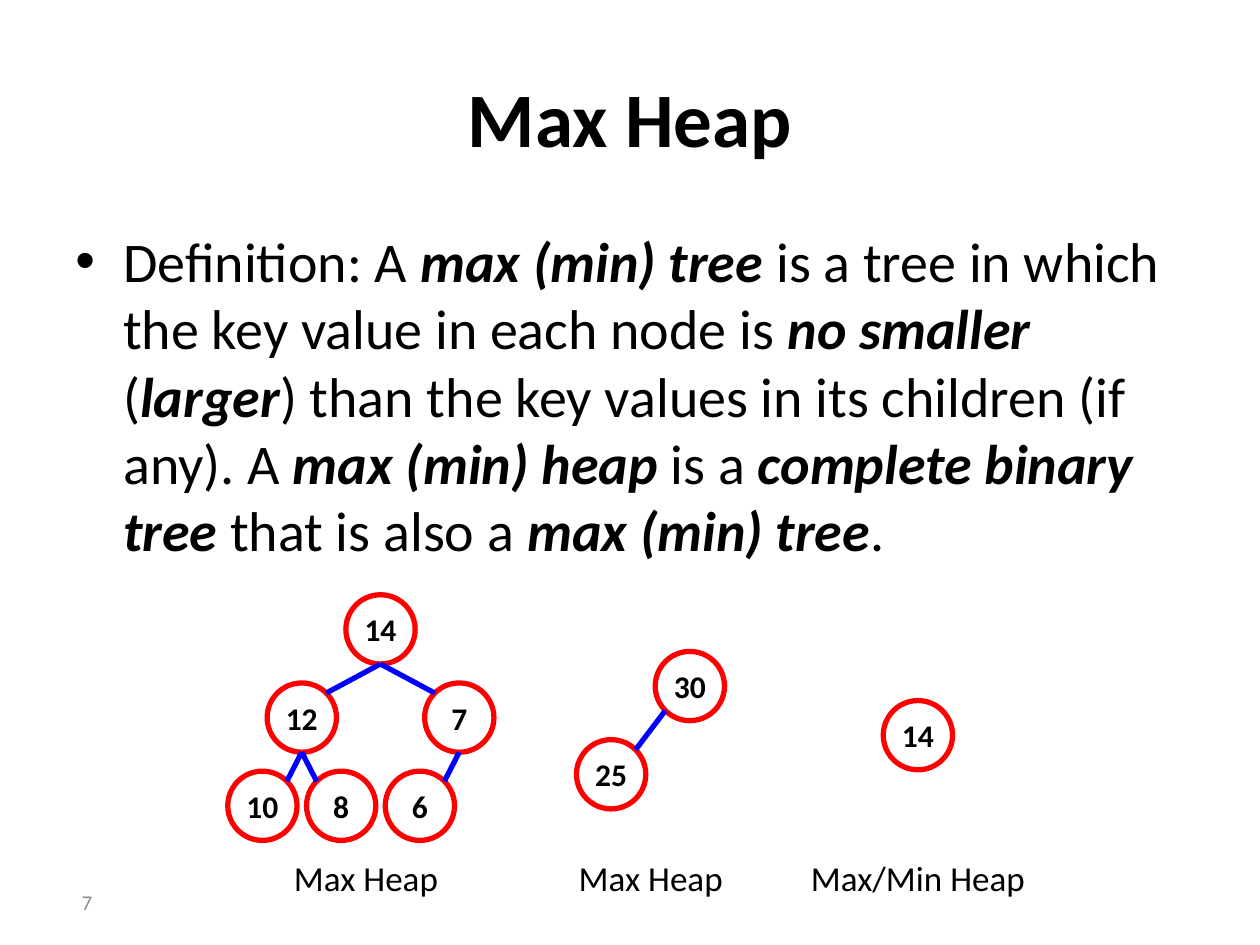
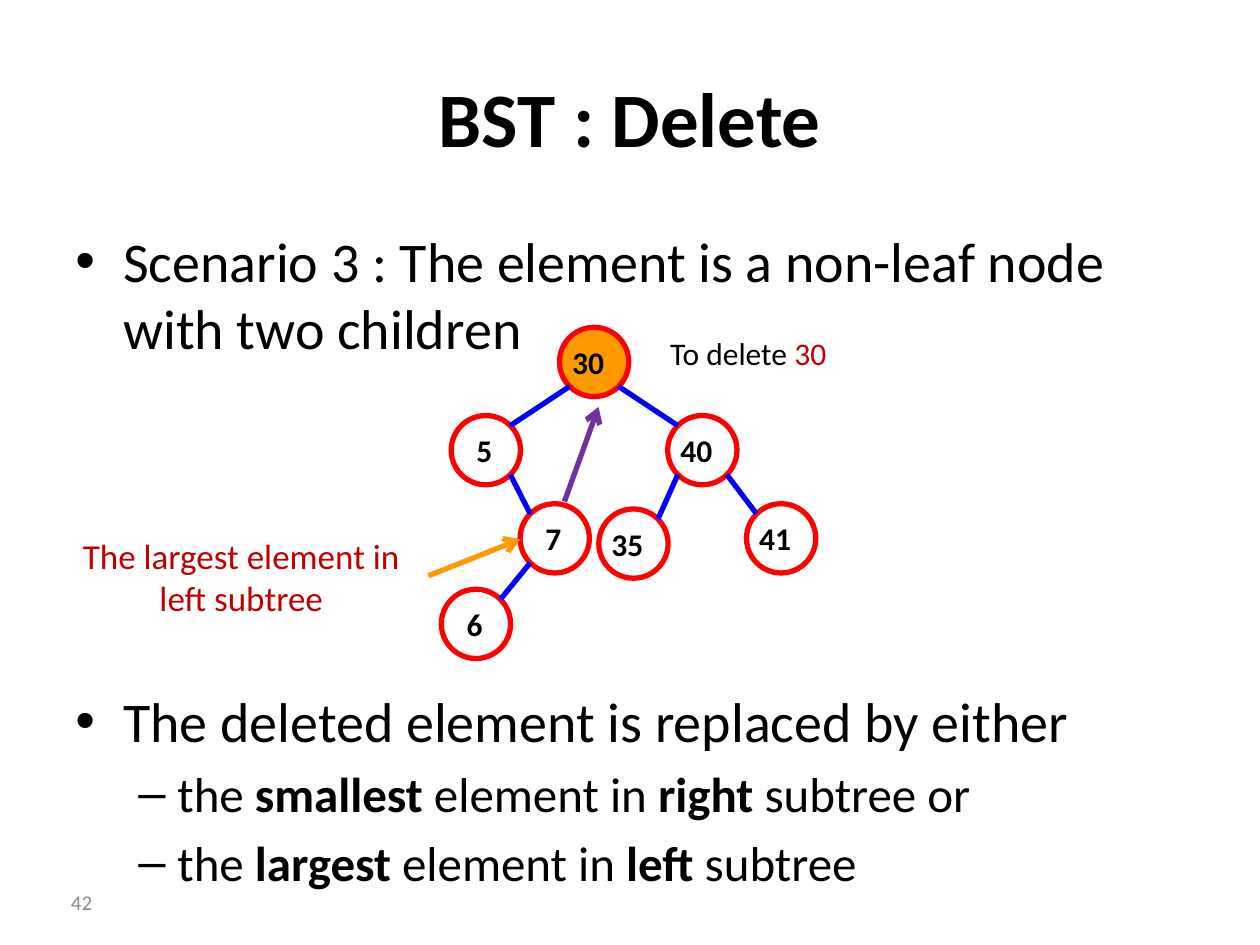
"""Build two slides on trees: the max heap definition and deletion from a BST."""
from dataclasses import dataclass
from typing import Any, NamedTuple, Optional

import lxml.etree
import pptx
import pptx.dml.color
import pptx.enum.shapes
import pptx.enum.text
import pptx.oxml.ns
import pptx.util

RGB = pptx.dml.color.RGBColor
Align = pptx.enum.text.PP_ALIGN
Anchor = pptx.enum.text.MSO_ANCHOR
Shape = pptx.enum.shapes.MSO_SHAPE
Pt = pptx.util.Pt
Inches = pptx.util.Inches

BLACK = RGB(0x00, 0x00, 0x00)
GREY = RGB(0x8C, 0x8C, 0x8C)
RED = RGB(0xFF, 0x00, 0x00)
DARK_RED = RGB(0xC0, 0x00, 0x00)
BLUE = RGB(0x00, 0x00, 0xFF)
ORANGE = RGB(0xFF, 0x99, 0x00)
PURPLE = RGB(0x70, 0x30, 0xA0)

FONT = "Calibri"
SLIDE_WIDTH, SLIDE_HEIGHT = Inches(10), Inches(7.5)
COLUMN = SLIDE_WIDTH / 32
ROW = SLIDE_HEIGHT * 0.28 / 3
RADIUS = SLIDE_WIDTH * 0.0275
DIAGONAL = RADIUS * 0.5 ** 0.5
STROKE = Pt(3)

STRONG = {"bold": True}
TERM = {"bold": True, "italic": True}
TIGHT = dict.fromkeys(("margin_left", "margin_right", "margin_top", "margin_bottom"), 0)
ROOMY = {"margin_top": Inches(0.15), "margin_bottom": Inches(0.15)}


class Area(NamedTuple):
    """Left, top, width and height in percent of the slide."""
    left: float
    top: float
    width: float
    height: float


class Run(NamedTuple):
    """A stretch of text with its own emphasis."""
    text: str
    style: dict[str, Any] = {}
    color: RGB = BLACK


class Bullet(NamedTuple):
    """Marker, text size, indents in inches and space before in points."""
    marker: str
    size: int
    margin: float
    hang: float
    before: float


class Node(NamedTuple):
    """A key, its column and row from the root, and its parent's index."""
    key: str
    column: float = 0
    row: float = 0
    parent: Optional[int] = None
    fill: Optional[RGB] = None


@dataclass
class Tree:
    """Nodes around a root whose centre is in percent of the slide."""
    root_x: float
    root_y: float
    nodes: list[Node]
    edges_from_bottom: bool = False
    keys_at_left: bool = False


FIRST = Bullet("•", 32, 0.38, 0.38, 0)
BELOW_TREE = FIRST._replace(before=186)
SUB = Bullet("–", 28, 0.81, 0.31, 5.6)

TITLE_AREA = Area(5, 4, 90, 16.67)
BODY_AREA = Area(5, 23.33, 90, 66)
NUMBER_AREA = Area(2.3, 92.8, 6, 5.33)

DEFINITION = [
    Run("Definition: A "), Run("max (min) tree", TERM),
    Run(" is a tree in which the key value in each node is "),
    Run("no smaller", TERM), Run(" ("), Run("larger", TERM),
    Run(") than the key values in its children (if any). A "),
    Run("max (min) heap ", TERM), Run("is a "),
    Run("complete binary tree ", TERM), Run("that is also a "),
    Run("max (min) tree", TERM), Run("."),
]
DELETION = [
    (FIRST, [Run("Scenario 3 : The element is a non-leaf node with two children")]),
    (BELOW_TREE, [Run("The deleted element is replaced by either")]),
    (SUB, [Run("the "), Run("smallest", STRONG), Run(" element in "),
           Run("right ", STRONG), Run("subtree or")]),
    (SUB, [Run("the "), Run("largest", STRONG), Run(" element in "),
           Run("left ", STRONG), Run("subtree")]),
]

HEAPS = [
    Tree(30.2, 66.6, [
        Node("14"), Node("12", -2, 1, 0), Node("7", 2, 1, 0),
        Node("10", -3, 2, 1), Node("8", -1, 2, 1), Node("6", 1, 2, 2),
    ], edges_from_bottom=True),
    Tree(54.75, 72.6, [Node("30"), Node("25", -2, 1, 0)]),
    Tree(72.85, 77.8, [Node("14")]),
]
HEAP_CAPTIONS = [
    ("Max Heap", Area(22, 88.67, 14.1, 8.53)),
    ("Max Heap", Area(44.6, 88.67, 14.1, 8.53)),
    ("Max/Min Heap", Area(62.6, 88.67, 20.5, 8.53)),
]
SEARCH_TREE = Tree(47.15, 38.3, [
    Node("30", fill=ORANGE), Node("5", -2.75, 1, 0), Node("40", 2.75, 1, 0),
    Node("7", -1, 2, 1), Node("35", 1, 2.06, 2), Node("41", 4.75, 2, 2),
    Node("6", -3, 2.97, 3),
], keys_at_left=True)
POINTERS = [
    (ORANGE, (34, 60.93), (41.3, 57.07)),
    (PURPLE, (44.8, 53.07), (47.5, 43.07)),
]


def apply(target: Any, values: dict[str, Any]) -> None:
    """Set each named attribute of the target."""
    for name, value in values.items():
        setattr(target, name, value)


def point(x: float, y: float) -> tuple[int, int]:
    """Turn percentages of the slide into lengths."""
    return round(SLIDE_WIDTH * x / 100), round(SLIDE_HEIGHT * y / 100)


def lengths(area: Area) -> tuple[int, int, int, int]:
    """Turn an area into left, top, width and height."""
    return point(area.left, area.top) + point(area.width, area.height)


def write(paragraph: Any, runs: list[Run], size: float, align: Any = Align.LEFT) -> None:
    """Fill a paragraph with formatted runs."""
    paragraph.alignment = align
    for text, style, color in runs:
        run = paragraph.add_run()
        run.text = text
        apply(run.font, {"name": FONT, "size": Pt(size), "bold": False, **style})
        run.font.color.rgb = color


def add_text(slide: Any, area: Area, runs: list[Run], size: float,
             align: Any = Align.CENTER, frame: dict[str, Any] = ROOMY) -> None:
    """Add a text box of one paragraph."""
    text_frame = slide.shapes.add_textbox(*lengths(area)).text_frame
    apply(text_frame, {"word_wrap": True, **frame})
    write(text_frame.paragraphs[0], runs, size, align)


def add_body(slide: Any, items: list[tuple[Bullet, list[Run]]]) -> None:
    """Add the bulleted text."""
    frame = slide.shapes.add_textbox(*lengths(BODY_AREA)).text_frame
    frame.word_wrap = True
    for index, (bullet, runs) in enumerate(items):
        paragraph = frame.add_paragraph() if index else frame.paragraphs[0]
        properties = paragraph._p.get_or_add_pPr()
        properties.set("marL", str(Inches(bullet.margin)))
        properties.set("indent", str(-Inches(bullet.hang)))
        for tag, key, value in (("a:buFont", "typeface", "Arial"),
                                ("a:buChar", "char", bullet.marker)):
            lxml.etree.SubElement(properties, pptx.oxml.ns.qn(tag)).set(key, value)
        paragraph.space_before = Pt(bullet.before)
        write(paragraph, runs, bullet.size)


def add_line(slide: Any, start: tuple[float, float], end: tuple[float, float],
             color: RGB, arrow: bool = False) -> None:
    """Add a straight line, with an arrowhead at its end if asked."""
    line = slide.shapes.add_connector(
        pptx.enum.shapes.MSO_CONNECTOR.STRAIGHT, *map(round, start + end))
    line.line.width = STROKE
    line.line.color.rgb = color
    properties = line._element.spPr
    qn = pptx.oxml.ns.qn
    if arrow:
        lxml.etree.SubElement(properties.find(qn("a:ln")), qn("a:tailEnd")).set("type", "arrow")
    lxml.etree.SubElement(properties, qn("a:effectLst"))


def add_node(slide: Any, node: Node, center: tuple[float, float], at_left: bool) -> None:
    """Add a ringed node with its key."""
    x, y = center
    ring = slide.shapes.add_shape(
        Shape.OVAL, *map(round, (x - RADIUS, y - RADIUS, 2 * RADIUS, 2 * RADIUS)))
    ring.shadow.inherit = False
    if node.fill is None:
        ring.fill.background()
    else:
        ring.fill.solid()
        ring.fill.fore_color.rgb = node.fill
    ring.line.color.rgb = RED
    ring.line.width = STROKE
    indent = Inches(0.02 if len(node.key) > 1 else 0.12) if at_left else 0
    apply(ring.text_frame, {**TIGHT, "margin_left": indent, "word_wrap": True,
                            "vertical_anchor": Anchor.MIDDLE})
    write(ring.text_frame.paragraphs[0], [Run(node.key, STRONG)], 18,
          Align.LEFT if at_left else Align.CENTER)


def add_tree(slide: Any, tree: Tree) -> None:
    """Add the nodes of a tree and the edges to their parents."""
    root_x, root_y = point(tree.root_x, tree.root_y)
    centers = [(root_x + node.column * COLUMN, root_y + node.row * ROW) for node in tree.nodes]
    for node, center in zip(tree.nodes, centers):
        add_node(slide, node, center, tree.keys_at_left)
    for node, (x, y) in zip(tree.nodes, centers):
        if node.parent is None:
            continue
        parent_x, parent_y = centers[node.parent]
        side = DIAGONAL if parent_x > x else -DIAGONAL
        if tree.edges_from_bottom:
            end = (parent_x, parent_y + RADIUS)
        else:
            end = (parent_x - side, parent_y + DIAGONAL)
        add_line(slide, (x + side, y - DIAGONAL), end, BLUE)


def add_slide(deck: Any, title: str, number: int,
              items: list[tuple[Bullet, list[Run]]]) -> Any:
    """Add a slide with its title, bulleted text and number."""
    slide = deck.slides.add_slide(deck.slide_layouts.get_by_name("Title Only"))
    heading = slide.shapes.title
    apply(heading, dict(zip(("left", "top", "width", "height"), lengths(TITLE_AREA))))
    heading.text_frame.vertical_anchor = Anchor.MIDDLE
    write(heading.text_frame.paragraphs[0], [Run(title, STRONG)], 44, Align.CENTER)
    add_body(slide, items)
    add_text(slide, NUMBER_AREA, [Run(str(number), color=GREY)], 12, Align.RIGHT,
             {"vertical_anchor": Anchor.MIDDLE})
    return slide


def main() -> None:
    """Build and save the presentation."""
    deck = pptx.Presentation()
    apply(deck, {"slide_width": SLIDE_WIDTH, "slide_height": SLIDE_HEIGHT})

    heap_slide = add_slide(deck, "Max Heap", 7, [(FIRST, DEFINITION)])
    for heap in HEAPS:
        add_tree(heap_slide, heap)
    for caption, area in HEAP_CAPTIONS:
        add_text(heap_slide, area, [Run(caption)], 20)

    delete_slide = add_slide(deck, "BST : Delete", 42, DELETION)
    add_tree(delete_slide, SEARCH_TREE)
    add_text(delete_slide, Area(4.3, 54.53, 29.7, 13.07),
             [Run("The largest element in left subtree", color=DARK_RED)], 20)
    for color, start, end in POINTERS:
        add_line(delete_slide, point(*start), point(*end), color, arrow=True)
    add_text(delete_slide, Area(52.2, 34.67, 14.6, 5.33),
             [Run("To delete "), Run("30", color=DARK_RED)], 18, Align.LEFT,
             {"word_wrap": False})
    deck.save("out.pptx")


if __name__ == "__main__":
    main()
